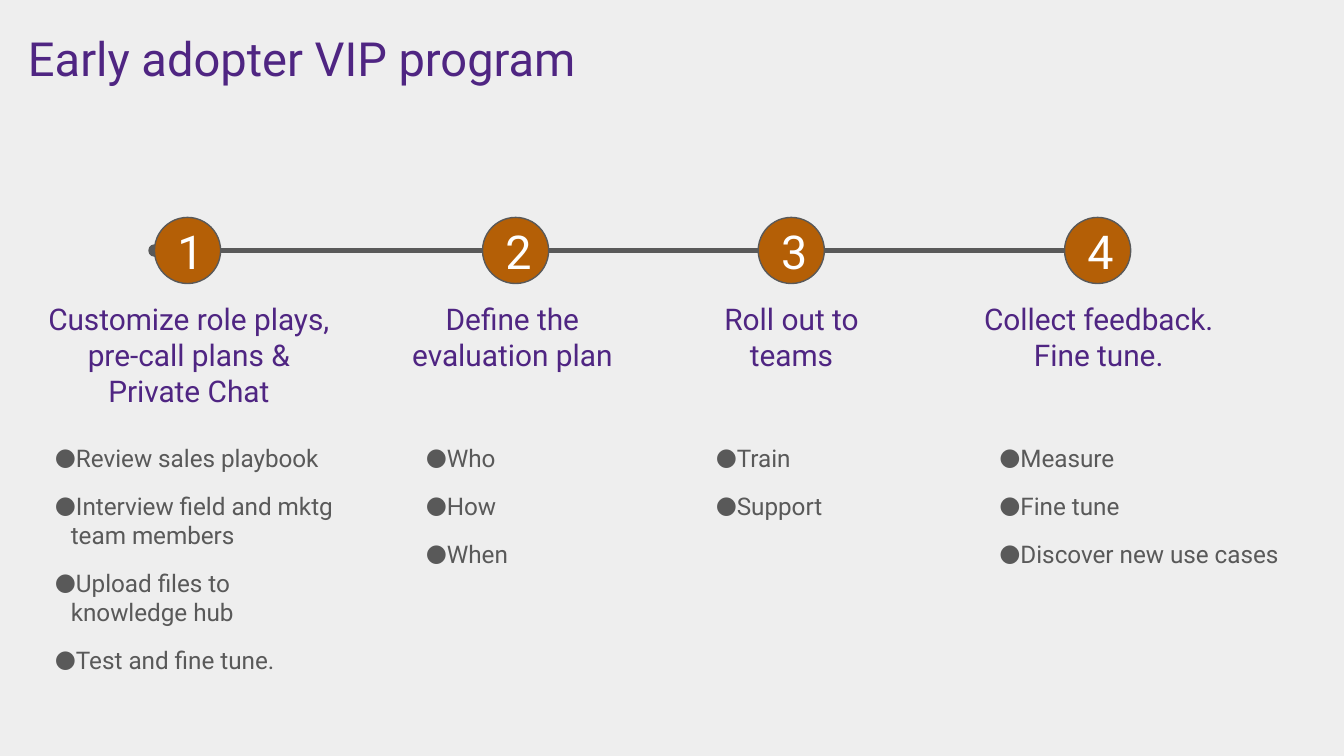
"""Build the early adopter program timeline slide."""
from dataclasses import dataclass

from lxml import etree
from pptx import Presentation, util as u
from pptx.dml.color import RGBColor
from pptx.enum import shapes, text
from pptx.oxml import ns


@dataclass(frozen=True)
class Theme:
    font: str = "Roboto"
    background: str = "EEEEEE"
    heading: str = "4F2582"
    body: str = "595959"
    marker: str = "B45F06"
    on_marker: str = "FFFFFF"
    title_size: float = 25.2
    number_size: float = 25
    heading_size: float = 16
    body_size: float = 13
    inset: float = 0.25


@dataclass(frozen=True)
class Stage:
    marker_left: float
    heading_left: float
    heading_width: float
    goal: str
    list_left: float
    list_width: float
    list_height: float
    tasks: tuple


class TimelineSlide:
    def __init__(self, slide, theme):
        self.slide = slide
        self.theme = theme
        fill = slide.background.fill
        fill.solid()
        fill.fore_color.rgb = RGBColor.from_string(theme.background)

    def style_text(self, shape, words, size, color, align=text.PP_ALIGN.LEFT):
        frame = shape.text_frame
        frame.word_wrap = True
        frame.margin_left = frame.margin_right = u.Cm(self.theme.inset)
        frame.margin_top = frame.margin_bottom = u.Cm(self.theme.inset)
        frame.text = words
        for paragraph in frame.paragraphs:
            paragraph.alignment = align
            for run in paragraph.runs:
                run.font.name = self.theme.font
                run.font.size = u.Pt(size)
                run.font.color.rgb = RGBColor.from_string(color)
        return frame

    def text_box(self, box, words, size, color, align=text.PP_ALIGN.LEFT):
        shape = self.slide.shapes.add_textbox(*map(u.Cm, box))
        return self.style_text(shape, words, size, color, align)

    def title(self, box, words):
        frame = self.text_box(box, words, self.theme.title_size, self.theme.heading)
        frame.paragraphs[0].line_spacing = 1.15

    def heading(self, box, words):
        self.text_box(box, words, self.theme.heading_size, self.theme.heading,
                      text.PP_ALIGN.CENTER)

    def bullets(self, box, items):
        frame = self.text_box(box, "\n".join(items), self.theme.body_size, self.theme.body)
        for index, paragraph in enumerate(frame.paragraphs):
            props = paragraph._p.get_or_add_pPr()
            props.set("marL", str(u.Cm(0.3)))
            props.set("indent", str(u.Cm(-0.38)))
            color = etree.SubElement(props, ns.qn("a:buClr"))
            etree.SubElement(color, ns.qn("a:srgbClr"), val=self.theme.body)
            etree.SubElement(props, ns.qn("a:buFont"), typeface=self.theme.font)
            etree.SubElement(props, ns.qn("a:buChar"), char="●")
            if index:
                paragraph.space_before = u.Pt(10)

    def track(self, left, right, y):
        line = self.slide.shapes.add_connector(
            shapes.MSO_CONNECTOR.STRAIGHT, *map(u.Cm, (left, y, right, y)))
        line.line.color.rgb = RGBColor.from_string(self.theme.body)
        line.line.width = u.Pt(2.25)
        props = line._element.spPr
        etree.SubElement(props.find(ns.qn("a:ln")), ns.qn("a:headEnd"), type="oval")
        etree.SubElement(props, ns.qn("a:effectLst"))

    def marker(self, left, top, size, number):
        circle = self.slide.shapes.add_shape(
            shapes.MSO_SHAPE.OVAL, *map(u.Cm, (left, top, size, size)))
        circle.shadow.inherit = False
        circle.fill.solid()
        circle.fill.fore_color.rgb = RGBColor.from_string(self.theme.marker)
        circle.line.color.rgb = RGBColor.from_string(self.theme.body)
        circle.line.width = u.Pt(0.75)
        frame = self.style_text(circle, str(number), self.theme.number_size,
                                self.theme.on_marker)
        frame.vertical_anchor = text.MSO_ANCHOR.MIDDLE


MARKER_TOP, MARKER_SIZE = 4.11, 1.25
HEADING_TOP, HEADING_HEIGHT = 5.44, 3.12
LIST_TOP = 8.13

STAGES = [
    Stage(2.92, 0.61, 5.92, "Customize role plays, pre-call plans & Private Chat",
          0.79, 5.92, 6.05,
          ("Review sales playbook", "Interview field and mktg team members",
           "Upload files to knowledge hub", "Test and fine tune.")),
    Stage(9.12, 7.16, 5.05, "Define the evaluation plan",
          7.8, 4.85, 3.99, ("Who", "How", "When")),
    Stage(14.33, 12.65, 4.62, "Roll out to teams",
          13.28, 4.85, 3.99, ("Train", "Support")),
    Stage(20.12, 18.24, 5.05, "Collect feedback. Fine tune.",
          18.64, 6.38, 3.99, ("Measure", "Fine tune", "Discover new use cases")),
]


def main():
    deck = Presentation()
    deck.slide_width, deck.slide_height = u.Cm(25.4), u.Cm(14.29)
    program = TimelineSlide(deck.slides.add_slide(deck.slide_layouts[6]), Theme())
    program.title((0.28, 0.15, 20.27, 1.6), "Early adopter VIP program")
    program.track(STAGES[0].marker_left, STAGES[-1].marker_left + MARKER_SIZE,
                  MARKER_TOP + MARKER_SIZE / 2)
    for number, stage in enumerate(STAGES, 1):
        program.marker(stage.marker_left, MARKER_TOP, MARKER_SIZE, number)
        program.heading((stage.heading_left, HEADING_TOP, stage.heading_width,
                         HEADING_HEIGHT), stage.goal)
        program.bullets((stage.list_left, LIST_TOP, stage.list_width,
                         stage.list_height), stage.tasks)
    deck.save("out.pptx")


if __name__ == "__main__":
    main()
